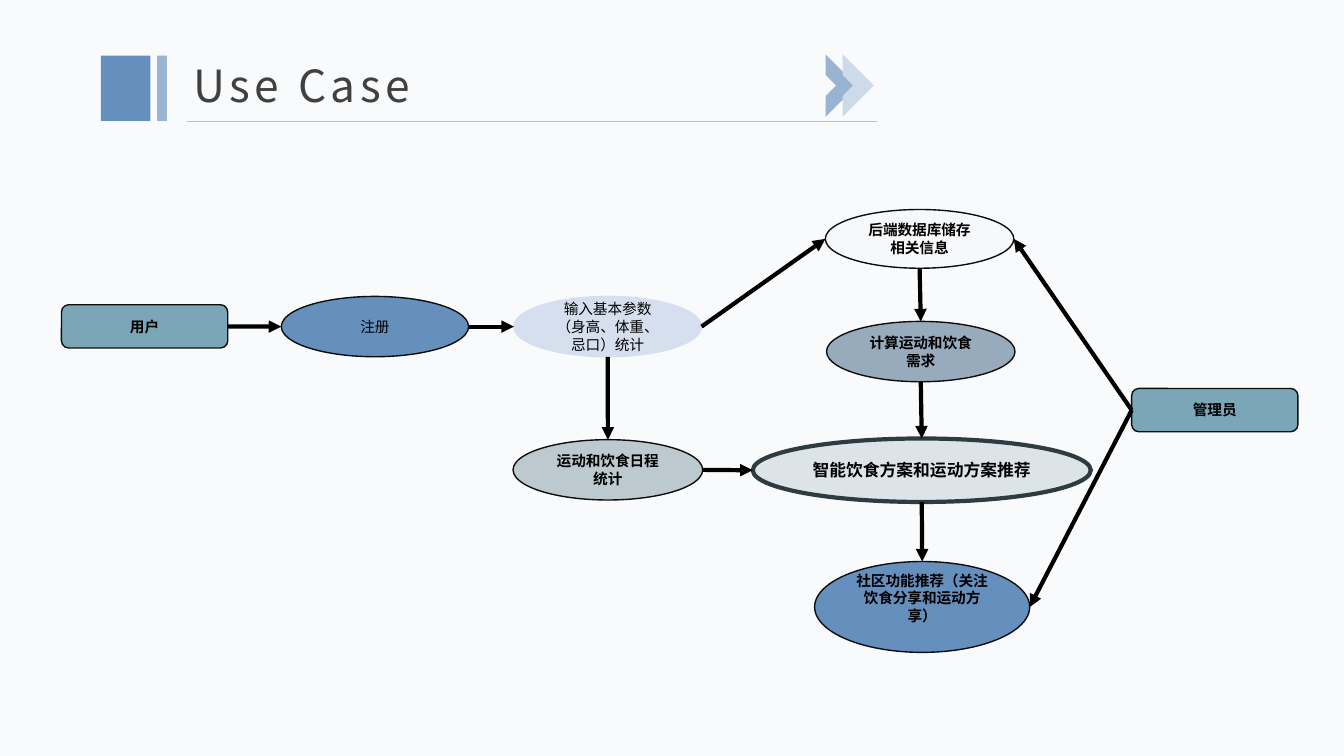
from pptx import Presentation
from pptx import util as u
from pptx.dml.color import RGBColor
from pptx.enum import shapes, text
from pptx.oxml import ns
from lxml import etree

BLACK = RGBColor(0x00, 0x00, 0x00)
EDGE = RGBColor(0x0D, 0x0D, 0x0D)
DARK = RGBColor(0x2E, 0x3C, 0x42)
BLUE = RGBColor(0x65, 0x8F, 0xBC)
SOFT = RGBColor(0x98, 0xB4, 0xD2)
PALE = RGBColor(0xCC, 0xDA, 0xE9)
LILAC = RGBColor(0xD5, 0xDF, 0xED)
TEAL = RGBColor(0x7A, 0xA6, 0xB8)
STEEL = RGBColor(0x97, 0xAB, 0xBD)
MIST = RGBColor(0xBC, 0xCA, 0xD0)
CLOUD = RGBColor(0xDD, 0xE4, 0xE8)
WHITE = RGBColor(0xF6, 0xF8, 0xFA)
BACK = RGBColor(0xF9, 0xFA, 0xFB)
RULE = RGBColor(0xBF, 0xBF, 0xBF)
INK = RGBColor(0x40, 0x40, 0x40)
LATIN = "Calibri"
HAN = "Noto Sans CJK SC"

OVAL = shapes.MSO_SHAPE.OVAL
ROUND = shapes.MSO_SHAPE.ROUNDED_RECTANGLE
RECT = shapes.MSO_SHAPE.RECTANGLE
FRAME = shapes.MSO_SHAPE.HALF_FRAME

NODES = {
    "plan": (OVAL, 18.97, 11.05, 8.52, 1.6, CLOUD, DARK, 3, "智能饮食方案和运动方案推荐", 12, True),
    "need": (OVAL, 20.83, 8.1, 4.75, 1.52, STEEL, EDGE, 1, "计算运动和饮食需求", 10.5, True),
    "user": (ROUND, 1.55, 7.68, 4.19, 1.09, TEAL, EDGE, 1, "用户", 10.5, True),
    "join": (OVAL, 7.09, 7.47, 4.72, 1.52, BLUE, EDGE, 1, "注册", 10.5, False),
    "input": (OVAL, 12.95, 7.47, 4.73, 1.52, LILAC, LILAC, 1,
              "输入基本参数（身高、体重、忌口）统计", 10.5, False),
    "store": (OVAL, 20.8, 5.28, 4.75, 1.48, WHITE, EDGE, 1, "后端数据库储存相关信息", 10.5, True),
    "admin": (ROUND, 28.52, 9.79, 4.19, 1.09, TEAL, EDGE, 1, "管理员", 10.5, True),
    "log": (OVAL, 12.93, 11.08, 4.78, 1.52, MIST, EDGE, 1, "运动和饮食日程统计", 10.5, True),
    "group": (OVAL, 20.53, 14.15, 5.42, 2.29, BLUE, EDGE, 1,
              "社区功能推荐（关注饮食分享和运动方享）", 10.5, True),
}
LINKS = [
    ("user", "right", "join", "left"),
    ("join", "right", "input", "left"),
    ("store", "base", "need", "top"),
    ("admin", "left", "store", "right"),
    ("input", "right", "store", "left"),
    ("input", "base", "log", "top"),
    ("plan", "base", "group", "top"),
    ("admin", "left", "group", "right"),
    ("log", "right", "plan", "left"),
    ("need", "base", "plan", "top"),
]
SIDES = {"left": (0, 0.5), "right": (1, 0.5), "top": (0.5, 0), "base": (0.5, 1)}
DECOR = [
    (RECT, 2.54, 1.4, 1.25, 1.65, BLUE, 0),
    (RECT, 3.96, 1.4, 0.25, 1.65, SOFT, 0),
    (FRAME, 20.25, 1.6, 1.11, 1.11, SOFT, 135),
    (FRAME, 20.68, 1.6, 1.11, 1.11, PALE, 135),
]

deck = Presentation()
deck.slide_width, deck.slide_height = u.Cm(33.87), u.Cm(19.05)
slide = deck.slides.add_slide(deck.slide_layouts[6])
slide.background.fill.solid()
slide.background.fill.fore_color.rgb = BACK


def add_form(kind, x, y, w, h, fill):
    form = slide.shapes.add_shape(kind, u.Cm(x), u.Cm(y), u.Cm(w), u.Cm(h))
    form.shadow.inherit = False
    form.fill.solid()
    form.fill.fore_color.rgb = fill
    return form


def add_run(para, words, size, font, color, bold=False):
    run = para.add_run()
    run.text = words
    run.font.size = u.Pt(size)
    run.font.name = font
    run.font.bold = bold
    run.font.color.rgb = color
    props = run.font._element
    props.find(ns.qn("a:latin")).addnext(props.makeelement(ns.qn("a:ea"), {"typeface": HAN}))
    return run


def add_line(start, end, color, width, arrow):
    ends = [u.Cm(v) for v in (*start, *end)]
    line = slide.shapes.add_connector(shapes.MSO_CONNECTOR.STRAIGHT, *ends)
    line.line.color.rgb = color
    line.line.width = u.Pt(width)
    if arrow:
        etree.SubElement(line.line._get_or_add_ln(), ns.qn("a:tailEnd"), type="triangle")
    etree.SubElement(line._element.spPr, ns.qn("a:effectLst"))


def find_side(name, side):
    x, y, w, h = NODES[name][1:5]
    across, down = SIDES[side]
    return x + w * across, y + h * down


for kind, x, y, w, h, fill, edge, width, words, size, bold in NODES.values():
    node = add_form(kind, x, y, w, h, fill)
    node.line.color.rgb = edge
    node.line.width = u.Pt(width)
    frame = node.text_frame
    frame.word_wrap = True
    frame.vertical_anchor = text.MSO_ANCHOR.MIDDLE
    if h > 2:
        frame.margin_bottom = u.Cm(0.58)
    para = frame.paragraphs[0]
    para.alignment = text.PP_ALIGN.CENTER
    add_run(para, words, size, LATIN, BLACK, bold)

for first, out, last, into in LINKS:
    add_line(find_side(first, out), find_side(last, into), BLACK, 3, True)

for kind, x, y, w, h, fill, turn in DECOR:
    mark = add_form(kind, x, y, w, h, fill)
    mark.line.fill.background()
    mark.rotation = turn
add_line((4.72, 3.05), (22.1, 3.05), RULE, 0.5, False)

title = slide.shapes.add_textbox(u.Cm(4.72), u.Cm(1.4), u.Cm(6.1), u.Cm(1.5))
frame = title.text_frame
frame.word_wrap = False
frame.vertical_anchor = text.MSO_ANCHOR.MIDDLE
frame.margin_left = frame.margin_right = u.Cm(0.15)
frame.margin_top = frame.margin_bottom = u.Cm(0.08)
run = add_run(frame.paragraphs[0], "Use Case", 31.6, HAN, INK)
run.font._element.set("spc", "330")

deck.save("out.pptx")
